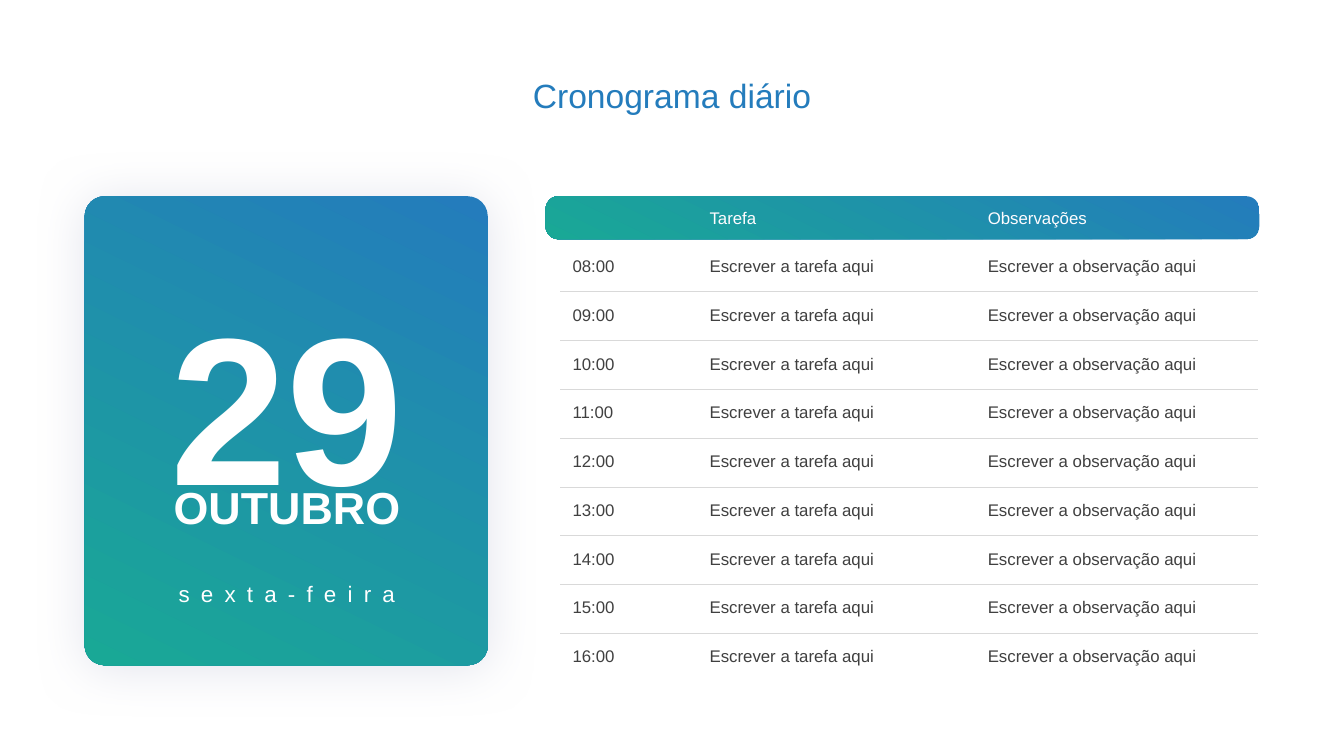
from dataclasses import dataclass

from lxml import etree
from pptx import Presentation
from pptx.dml.color import RGBColor
from pptx.enum.shapes import MSO_CONNECTOR, MSO_SHAPE
from pptx.enum.text import MSO_ANCHOR, MSO_AUTO_SIZE, PP_ALIGN
from pptx.oxml.ns import qn
from pptx.util import Inches, Pt

ROUNDED = MSO_SHAPE.ROUNDED_RECTANGLE
STRAIGHT = MSO_CONNECTOR.STRAIGHT
TOP, MIDDLE = MSO_ANCHOR.TOP, MSO_ANCHOR.MIDDLE
LEFT, CENTER = PP_ALIGN.LEFT, PP_ALIGN.CENTER
GROW = MSO_AUTO_SIZE.SHAPE_TO_FIT_TEXT
TITLE_ONLY = 5


@dataclass(frozen=True)
class Theme:
    font: str = "Arial"
    blue: str = "247CBC"
    green: str = "19A896"
    white: str = "FFFFFF"
    header_text: str = "FEFCFF"
    body_text: str = "404040"
    rule: str = "D9D9D9"
    shadow: str = "E3E4ED"
    title_size: float = 18
    body_size: float = 9
    day_size: float = 112.5
    month_size: float = 24
    weekday_size: float = 12


def grid(*cells):
    """Convert grid cells, each a hundredth of the slide's width, to lengths."""
    return [Inches(cell / 10) for cell in cells]


def write(shape, text, *, font, size, color, bold=False, align=LEFT,
          anchor=TOP, inset=0.02, wrap=True, spacing=0):
    frame = shape.text_frame
    frame.word_wrap = wrap
    frame.auto_size = GROW
    frame.vertical_anchor = anchor
    if inset is not None:
        frame.margin_left = frame.margin_right = Inches(inset)
        frame.margin_top = frame.margin_bottom = Inches(inset)
    paragraph = frame.paragraphs[0]
    paragraph.alignment = align
    run = paragraph.add_run()
    run.text = text
    run.font.name = font
    run.font.size = Pt(size)
    run.font.bold = bold
    run.font.color.rgb = RGBColor.from_string(color)
    if spacing:
        run.font._element.set("spc", str(spacing * 100))


class SlideBuilder:
    def __init__(self, presentation, theme):
        self.theme = theme
        layout = presentation.slide_layouts[TITLE_ONLY]
        self.slide = presentation.slides.add_slide(layout)

    def title(self, text, box):
        shape = self.slide.shapes.title
        shape.left, shape.top, shape.width, shape.height = grid(*box)
        write(shape, text, font=self.theme.font, size=self.theme.title_size,
              color=self.theme.blue, align=CENTER, anchor=MIDDLE,
              inset=None, wrap=False)

    def group(self):
        return self.slide.shapes.add_group_shape()

    def text(self, text, box, parent=None, **style):
        shape = (parent or self.slide).shapes.add_textbox(*grid(*box))
        write(shape, text, font=self.theme.font, **style)

    def panel(self, box, rounding, parent=None):
        shape = (parent or self.slide).shapes.add_shape(ROUNDED, *grid(*box))
        shape.adjustments[0] = rounding
        shape.shadow.inherit = False
        shape.line.fill.background()
        shape.fill.gradient()
        shape.fill.gradient_angle = 244
        colors = (self.theme.blue, self.theme.green)
        for position, (stop, color) in enumerate(zip(shape.fill.gradient_stops, colors)):
            stop.position = position
            stop.color.rgb = RGBColor.from_string(color)
        return shape

    def soft_shadow(self, shape):
        effects = shape._element.spPr.find(qn("a:effectLst"))
        shadow = etree.SubElement(
            effects, qn("a:outerShdw"), blurRad=str(Pt(27)), dist=str(Pt(2)),
            dir=str(90 * 60000), algn="t", rotWithShape="0")
        etree.SubElement(shadow, qn("a:srgbClr"), val=self.theme.shadow)

    def rule(self, left, right, top):
        line = self.slide.shapes.add_connector(STRAIGHT, *grid(left, top, right, top))
        line.line.color.rgb = RGBColor.from_string(self.theme.rule)
        line.line.width = Pt(0.5)
        etree.SubElement(line._element.spPr, qn("a:effectLst"))


def add_schedule(builder):
    theme = builder.theme
    time_column, task_column, note_column = (42.4, 5.7), (52.6, 20.3), (73.3, 20.3)
    row_height, first_row, pitch = 1.9, 18.82, 3.63

    # Header bar
    builder.panel((40.6, 14.6, 53.1, 3.2), 0.3)
    for label, (left, width) in (("Tarefa", task_column), ("Observações", note_column)):
        builder.text(label, (left, 15.25, width, row_height), size=theme.body_size,
                     color=theme.header_text, anchor=MIDDLE)

    # Hourly rows, with a rule between neighbours
    hours = range(8, 17)
    for index, hour in enumerate(hours):
        top = first_row + index * pitch
        cells = ((f"{hour:02}:00", time_column),
                 ("Escrever a tarefa aqui", task_column),
                 ("Escrever a observação aqui", note_column))
        for text, (left, width) in cells:
            builder.text(text, (left, top, width, row_height), size=theme.body_size,
                         color=theme.body_text, anchor=MIDDLE)
        if index < len(hours) - 1:
            builder.rule(41.7, 93.6, top + 2.9)


def add_date_card(builder):
    theme = builder.theme
    card = builder.group()
    builder.soft_shadow(builder.panel((6.3, 14.6, 30, 34.9), 0.05, card))
    style = {"parent": card, "color": theme.white, "align": CENTER}
    builder.text("29", (9.7, 20.3, 23.3, 19.4), size=theme.day_size, bold=True, **style)
    builder.text("sexta-feira", (12, 43, 18.7, 2.4), size=theme.weekday_size,
                 spacing=6, **style)
    builder.text("OUTUBRO", (12, 35.5, 18.7, 4.5), size=theme.month_size,
                 bold=True, **style)


def main():
    presentation = Presentation()
    presentation.slide_width, presentation.slide_height = grid(100, 56.25)
    builder = SlideBuilder(presentation, Theme())
    builder.title("Cronograma diário", (38.5, 5.1, 23, 4))
    add_schedule(builder)
    add_date_card(builder)
    presentation.save("out.pptx")


if __name__ == "__main__":
    main()
